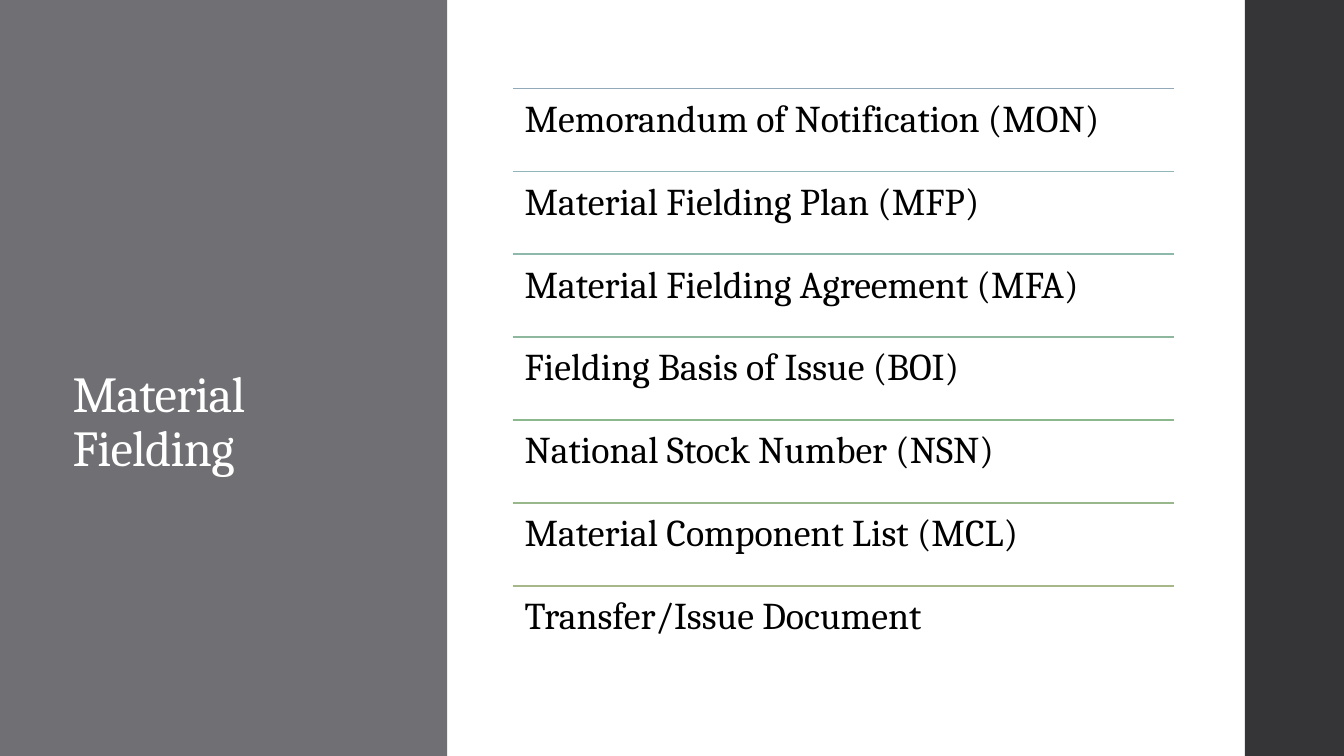
from lxml import etree
from pptx import Presentation
from pptx.dml.color import RGBColor
from pptx.enum import shapes, text
from pptx.oxml import ns
from pptx.util import Pt

TITLE = "Material Fielding"
DOCUMENTS = [
    ("Memorandum of Notification (MON)", RGBColor(0x92, 0xA9, 0xB9)),
    ("Material Fielding Plan (MFP)", RGBColor(0x91, 0xB6, 0xB9)),
    ("Material Fielding Agreement (MFA)", RGBColor(0x8F, 0xB8, 0xAD)),
    ("Fielding Basis of Issue (BOI)", RGBColor(0x8E, 0xB8, 0x9E)),
    ("National Stock Number (NSN)", RGBColor(0x8C, 0xB8, 0x8E)),
    ("Material Component List (MCL)", RGBColor(0x98, 0xB7, 0x8B)),
    ("Transfer/Issue Document", RGBColor(0xA7, 0xB7, 0x89)),
]
WHITE = RGBColor(0xFF, 0xFF, 0xFF)
BLACK = RGBColor(0, 0, 0)
GRAY = RGBColor(0x6F, 0x6F, 0x74)
CHARCOAL = RGBColor(0x35, 0x35, 0x37)
FONT = "Cambria"

PAGE_WIDTH, PAGE_HEIGHT = 960, 540
PANELS = [(0, 319.5, GRAY), (889.2, PAGE_WIDTH, CHARCOAL)]
LIST_LEFT, LIST_TOP, LIST_WIDTH = 366.8, 63.2, 471.8
ROW_HEIGHT = 59.2
ROW_INSET = 8


def format_paragraph(para, size, color):
    para.alignment = text.PP_ALIGN.LEFT
    para.line_spacing = 0.9
    for span in para.runs:
        span.font.name = FONT
        span.font.size = Pt(size)
        span.font.color.rgb = color


def add_panel(page, left, right, color):
    panel = page.shapes.add_shape(
        shapes.MSO_SHAPE.RECTANGLE, Pt(left), 0, Pt(right - left), Pt(PAGE_HEIGHT))
    panel.shadow.inherit = False
    panel.fill.solid()
    panel.fill.fore_color.rgb = color
    panel.line.fill.background()
    page.shapes.title.element.addprevious(panel.element)


def add_title(page):
    title = page.shapes.title
    title.left, title.top, title.width, title.height = Pt(44.6), Pt(65.5), Pt(213.8), Pt(473.8 - 0)
    title.height = Pt(473.8)
    frame = title.text_frame
    frame.text = TITLE
    frame.word_wrap = True
    frame.auto_size = text.MSO_AUTO_SIZE.NONE
    frame.vertical_anchor = text.MSO_ANCHOR.MIDDLE
    para = frame.paragraphs[0]
    format_paragraph(para, 36, WHITE)
    para.runs[0].font._element.set("spc", "-50")


def add_document(page, top, name, color):
    rule = page.shapes.add_connector(
        shapes.MSO_CONNECTOR.STRAIGHT,
        Pt(LIST_LEFT), Pt(top), Pt(LIST_LEFT + LIST_WIDTH), Pt(top))
    rule.line.color.rgb = color
    rule.line.width = Pt(1.1)
    etree.SubElement(rule.element.spPr, ns.qn("a:effectLst"))

    box = page.shapes.add_textbox(Pt(LIST_LEFT), Pt(top), Pt(LIST_WIDTH), Pt(ROW_HEIGHT))
    frame = box.text_frame
    frame.word_wrap = True
    frame.margin_left = frame.margin_right = Pt(ROW_INSET)
    frame.margin_top = frame.margin_bottom = Pt(ROW_INSET)
    frame.text = name
    format_paragraph(frame.paragraphs[0], 27, BLACK)


def main():
    deck = Presentation()
    deck.slide_width, deck.slide_height = Pt(PAGE_WIDTH), Pt(PAGE_HEIGHT)
    page = deck.slides.add_slide(deck.slide_layouts[5])
    for left, right, color in PANELS:
        add_panel(page, left, right, color)
    add_title(page)
    for row, (name, color) in enumerate(DOCUMENTS):
        add_document(page, LIST_TOP + row * ROW_HEIGHT, name, color)
    deck.save("out.pptx")


if __name__ == "__main__":
    main()
